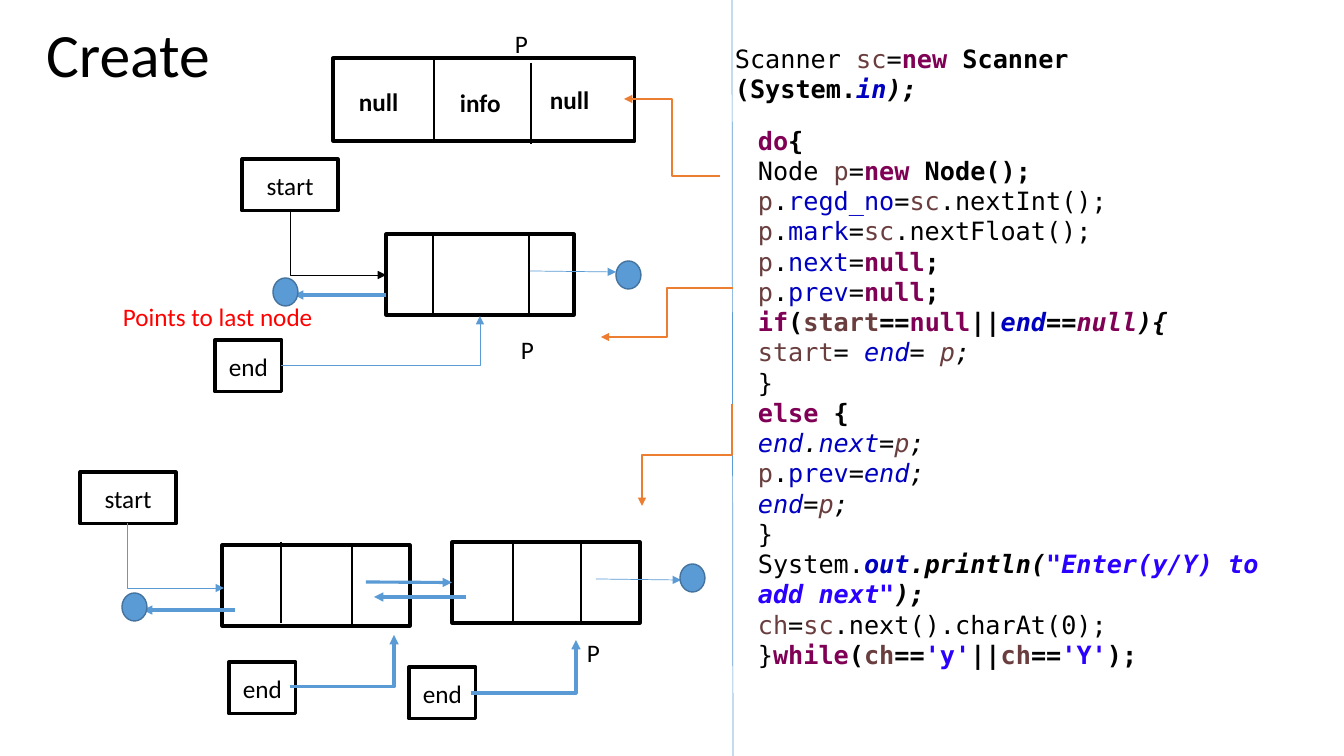
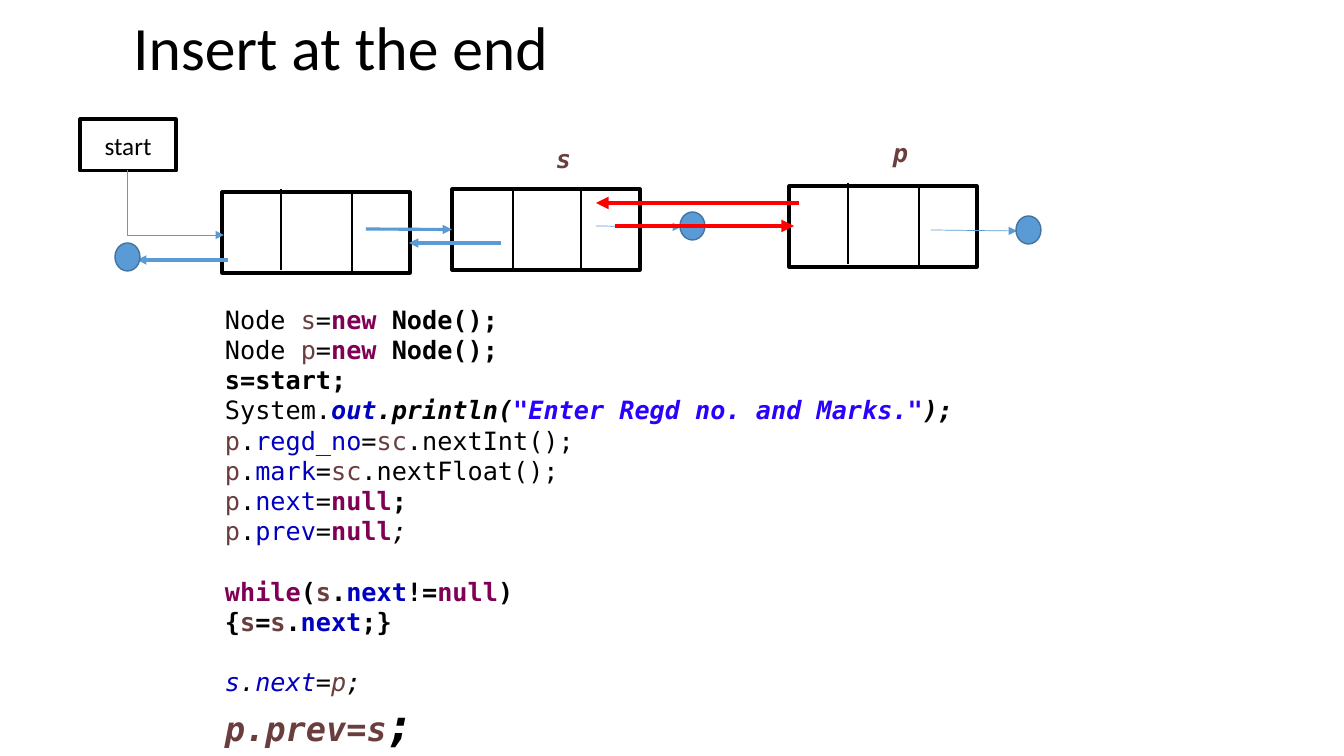
from dataclasses import dataclass, field

from lxml import etree
from pptx import Presentation
from pptx.dml.color import RGBColor
from pptx.enum.shapes import MSO_CONNECTOR, MSO_SHAPE
from pptx.enum.text import MSO_ANCHOR, PP_ALIGN
from pptx.oxml.ns import qn
from pptx.util import Emu, Pt

RECTANGLE, OVAL = MSO_SHAPE.RECTANGLE, MSO_SHAPE.OVAL
STRAIGHT, ELBOW = MSO_CONNECTOR.STRAIGHT, MSO_CONNECTOR.ELBOW
TOP, MIDDLE = MSO_ANCHOR.TOP, MSO_ANCHOR.MIDDLE
LEFT, CENTER = PP_ALIGN.LEFT, PP_ALIGN.CENTER
LEFT_SIDE = 1
EMU_PER_PX = 914400 / 100.8
QUARTER_TURN = 5400000


@dataclass(frozen=True)
class Theme:
    sans: str = "Calibri"
    mono: str = "DejaVu Sans Mono"
    title_size: float = 44
    text_size: float = 18
    gap: float = 21.6
    white: str = "FFFFFF"
    black: str = "000000"
    circle_fill: str = "5B9BD5"
    circle_line: str = "43739E"
    box_width: float = 2.25
    circle_width: float = 1
    inks: dict = field(default_factory=lambda: {
        "n": "000000", "v": "6A3E3E", "k": "7F0055",
        "f": "0000C0", "s": "2A00FF", "r": "FF0000"})
    strokes: dict = field(default_factory=lambda: {
        "divider": ("000000", 1.5), "black": ("000000", 0.5),
        "thin": ("5B9BD5", 0.5), "thick": ("5B9BD5", 2.25),
        "orange": ("ED7D31", 1.5), "red": ("FF0000", 3)})


THEME = Theme()
SLIDE_SIZE = (1344, 756)
TITLE_SIZE = (1159, 112)
BOX_SIZES = {"start": (96, 52), "end": (67, 52)}
NODE_SIZE = (188, 81)
CIRCLE_SIZE = (25, 28)
DIVIDER_HEIGHT = 81
LABEL_HEIGHT = 40

LINKED = ((59, -3), (130, 0))
SECOND = ((61, 0), (129, 0))

READ_FIELDS = [
    [("v", "p"), ("n", "."), ("f", "regd_no"), ("n", "="), ("v", "sc"), ("n", ".nextInt();")],
    [("v", "p"), ("n", "."), ("f", "mark"), ("n", "="), ("v", "sc"), ("n", ".nextFloat();")],
    [("v", "p"), ("n", "."), ("f", "next"), ("n", "="), ("kb", "null"), ("nb", ";")],
]
PREV_NULL = [("v", "p"), ("n", "."), ("f", "prev"), ("n", "="), ("kb", "null")]
NEW_P = [("n", "Node "), ("v", "p"), ("n", "="), ("kb", "new"), ("nb", " Node();")]
PRINT = [("n", "System."), ("fbi", "out"), ("nbi", ".println(")]

SCANNER_CODE = [[
    [("n", "Scanner "), ("v", "sc"), ("n", "="), ("kb", "new"), ("nb", " Scanner (System."),
     ("fbi", "in"), ("nbi", ");")],
]]
CREATE_CODE = [[
    [("kb", "do"), ("nb", "{")],
    NEW_P,
    *READ_FIELDS,
    [*PREV_NULL, ("nb", ";")],
    [("kb", "if"), ("nb", "("), ("vb", "start"), ("nb", "=="), ("kb", "null"), ("nb", "||"),
     ("fbi", "end"), ("nbi", "=="), ("kbi", "null"), ("nbi", "){")],
    [("v", "start"), ("n", "= "), ("fi", "end"), ("ni", "= "), ("vi", "p"), ("ni", ";")],
    [("n", "}")],
    [("kb", "else"), ("nb", " {")],
    [("fi", "end"), ("ni", "."), ("fi", "next"), ("ni", "="), ("vi", "p"), ("ni", ";")],
    [("v", "p"), ("n", "."), ("f", "prev"), ("n", "="), ("fi", "end"), ("ni", ";")],
    [("fi", "end"), ("ni", "="), ("vi", "p"), ("ni", ";")],
    [("n", "}")],
    [*PRINT, ("sbi", '"Enter(y/Y) to add next"'), ("nbi", ");")],
    [("v", "ch"), ("n", "="), ("v", "sc"), ("n", ".next().charAt(0);")],
    [("n", "}"), ("kb", "while"), ("nb", "("), ("vb", "ch"), ("nb", "=="), ("sb", "'y'"),
     ("nb", "||"), ("vb", "ch"), ("nb", "=="), ("sb", "'Y'"), ("nb", ");")],
]]
INSERT_CODE = [
    [
        [("n", "Node "), ("v", "s"), ("n", "="), ("kb", "new"), ("nb", " Node();")],
        NEW_P,
        [("nb", "s=start;")],
        [*PRINT, ("sbi", '"Enter Regd no. and Marks."'), ("nbi", ");")],
        *READ_FIELDS,
        [*PREV_NULL, ("ni", ";")],
    ],
    [
        [("kb", "while"), ("nb", "("), ("vb", "s"), ("nb", "."), ("fb", "next"), ("nb", "!="),
         ("kb", "null"), ("nb", ")")],
        [("nb", "{"), ("vb", "s"), ("nb", "="), ("vb", "s"), ("nb", "."), ("fb", "next"),
         ("nb", ";}")],
    ],
    [
        [("fi", "s"), ("ni", "."), ("fi", "next"), ("ni", "="), ("vi", "p"), ("ni", ";")],
        [("vbi", "p.prev=s", 24), ("nbi", ";", 32)],
    ],
]

SLIDES = [
    {
        "title": ("Create", 36, 19),
        "nodes": {
            "new": (333, 58, 302, 83, ((101, 2), (198, 5))),
            "only": (386, 234, *NODE_SIZE, ((47, -2), (143, 2))),
            "first": (222, 545, *NODE_SIZE, LINKED),
            "second": (452, 542, *NODE_SIZE, SECOND),
        },
        "boxes": [("start", 242, 159), ("end", 215, 340), ("start", 80, 472),
                  ("end", 229, 662), ("end", 409, 667)],
        "arrows": [
            ("thin", (530, 271), (616, 272)), ("thick", (366, 582), "second"),
            ("thin", (596, 579), (681, 580)), ("thick", (466, 597), (374, 597)),
            ("thick", (386, 295), (294, 295)), ("thick", (235, 610), (143, 610)),
        ],
        "elbows": [
            ("black", 2, "down", (290, 212), (386, 275)),
            ("thin", 2, "down", (127, 523), (224, 588)),
            ("thin", 2, "across", (281, 365), (480, 316)),
            ("thick", 2, "across", (290, 687), (394, 635)),
            ("thick", 2, "across", (471, 693), (576, 640)),
            ("orange", 3, "across", (720, 176), (624, 99)),
            ("orange", 3, "across", (733, 288), (601, 337)),
            ("orange", 3, "down", (732, 404), (642, 506)),
        ],
        "circles": [(616, 261), (680, 564), (273, 278), (122, 593)],
        "new_links": [],
        "rules": [("thin", (732, 0), (733, 756))],
        "labels": [
            ("sans", "n", "P", 505, 23, 72), ("sans", "n", "P", 511, 329, 83),
            ("sans", "n", "P", 577, 632, 83), ("sans", "nb", "null", 349, 81, 84),
            ("sans", "nb", "info", 450, 82, 62), ("sans", "nb", "null", 540, 79, 84),
            ("sans", "r", "Points to last node", 113, 296, 219),
        ],
        "code": [(SCANNER_CODE, 725, 38, 509, 70), (CREATE_CODE, 748, 120, 569, 560)],
    },
    {
        "title": ("Insert at the end", 123, 12),
        "nodes": {
            "first": (222, 192, *NODE_SIZE, LINKED),
            "second": (452, 189, *NODE_SIZE, SECOND),
            "third": (789, 186, *NODE_SIZE, LINKED),
        },
        "boxes": [("start", 80, 119)],
        "arrows": [
            ("thin", (596, 226), (681, 227)), ("thick", (366, 229), "second"),
            ("thick", (501, 243), (409, 243)), ("thick", (228, 260), (137, 260)),
            ("thin", (931, 230), (1017, 231)),
        ],
        "elbows": [("thin", 2, "down", (127, 170), (224, 235))],
        "circles": [(680, 212), (115, 243), (1016, 216)],
        "new_links": [("red", (615, 226), (794, 226)), ("red", (799, 203), (596, 203))],
        "rules": [],
        "labels": [("mono", "vbi", "s", 546, 138, 36), ("mono", "vbi", "p", 883, 132, 36)],
        "code": [(INSERT_CODE, 215, 299, 974, 456)],
    },
]


def px(*lengths):
    return [Emu(round(length * EMU_PER_PX)) for length in lengths]


def colour(code):
    return RGBColor.from_string(code)


def write(para, spans, font, size=THEME.text_size):
    para.font.name = font
    para.font.size = Pt(size)
    for style, text, *own_size in spans:
        span = para.add_run()
        span.text = text
        span.font.color.rgb = colour(THEME.inks[style[0]])
        span.font.bold = "b" in style[1:]
        span.font.italic = "i" in style[1:]
        if own_size:
            span.font.size = Pt(own_size[0])


def add_title(page, text, left, top):
    title = page.shapes.title
    title.left, title.top, title.width, title.height = px(left, top, *TITLE_SIZE)
    title.text_frame.vertical_anchor = TOP
    para = title.text_frame.paragraphs[0]
    para.alignment = LEFT
    para.line_spacing = 0.9
    write(para, [("n", text)], THEME.sans, THEME.title_size)


def add_text(page, blocks, font, *place):
    frame = page.shapes.add_textbox(*px(*place)).text_frame
    frame.word_wrap = True
    para = frame.paragraphs[0]
    for block_index, block in enumerate(blocks):
        for line_index, spans in enumerate(block):
            if block_index or line_index:
                para = frame.add_paragraph()
            if block_index and not line_index:
                para.space_before = Pt(THEME.gap)
            write(para, spans, font)


def add_solid(page, kind, place, fill, line, width):
    shape = page.shapes.add_shape(kind, *px(*place))
    shape.shadow.inherit = False
    shape.fill.solid()
    shape.fill.fore_color.rgb = colour(fill)
    shape.line.color.rgb = colour(line)
    shape.line.width = Pt(width)
    return shape


def add_box(page, *place):
    return add_solid(page, RECTANGLE, place, THEME.white, THEME.black, THEME.box_width)


def add_line(page, stroke, start, end, kind=STRAIGHT, head=True):
    line = page.shapes.add_connector(kind, *px(*start, *end))
    code, width = THEME.strokes[stroke]
    line.line.color.rgb = colour(code)
    line.line.width = Pt(width)
    if head:
        etree.SubElement(line.line._get_or_add_ln(), qn("a:tailEnd"), type="triangle")
    etree.SubElement(line._element.spPr, qn("a:effectLst"))
    return line


def add_arrow(page, nodes, stroke, start, end):
    if isinstance(end, str):
        add_line(page, stroke, start, start).end_connect(nodes[end], LEFT_SIDE)
    else:
        add_line(page, stroke, start, end)


def add_elbow(page, stroke, segments, direction, start, end):
    turn = 0
    if direction == "down":
        (x1, y1), (x2, y2) = start, end
        turn = 1 if x2 < x1 else -1
        middle_x, middle_y = (x1 + x2) / 2, (y1 + y2) / 2
        half_x, half_y = turn * (y2 - y1) / 2, turn * (x2 - x1) / 2
        start = (middle_x - half_x, middle_y + half_y)
        end = (middle_x + half_x, middle_y - half_y)
    properties = add_line(page, stroke, start, end, ELBOW)._element.spPr
    properties.find(qn("a:prstGeom")).set("prst", f"bentConnector{segments}")
    if turn:
        properties.find(qn("a:xfrm")).set("rot", str(turn % 4 * QUARTER_TURN))


def add_node(page, left, top, width, height, dividers):
    node = add_box(page, left, top, width, height)
    for shift, drop in dividers:
        x, y = left + shift, top + drop
        add_line(page, "divider", (x, y), (x, y + DIVIDER_HEIGHT), head=False)
    return node


def add_pointer_box(page, name, left, top):
    frame = add_box(page, left, top, *BOX_SIZES[name]).text_frame
    frame.vertical_anchor = MIDDLE
    frame.paragraphs[0].alignment = CENTER
    write(frame.paragraphs[0], [("n", name)], THEME.sans)


def build_page(page, content):
    add_title(page, *content["title"])
    nodes = {name: add_node(page, *node) for name, node in content["nodes"].items()}
    for box in content["boxes"]:
        add_pointer_box(page, *box)
    for arrow in content["arrows"]:
        add_arrow(page, nodes, *arrow)
    for rule in content["rules"]:
        add_line(page, *rule, head=False)
    for elbow in content["elbows"]:
        add_elbow(page, *elbow)
    for corner in content["circles"]:
        add_solid(page, OVAL, (*corner, *CIRCLE_SIZE), THEME.circle_fill,
                  THEME.circle_line, THEME.circle_width)
    for link in content["new_links"]:
        add_arrow(page, nodes, *link)
    for font, style, text, *place in content["labels"]:
        add_text(page, [[[(style, text)]]], getattr(THEME, font), *place, LABEL_HEIGHT)
    for blocks, *place in content["code"]:
        add_text(page, blocks, THEME.mono, *place)


def main():
    deck = Presentation()
    deck.slide_width, deck.slide_height = px(*SLIDE_SIZE)
    for content in SLIDES:
        build_page(deck.slides.add_slide(deck.slide_layouts[5]), content)
    deck.save("out.pptx")


if __name__ == "__main__":
    main()
